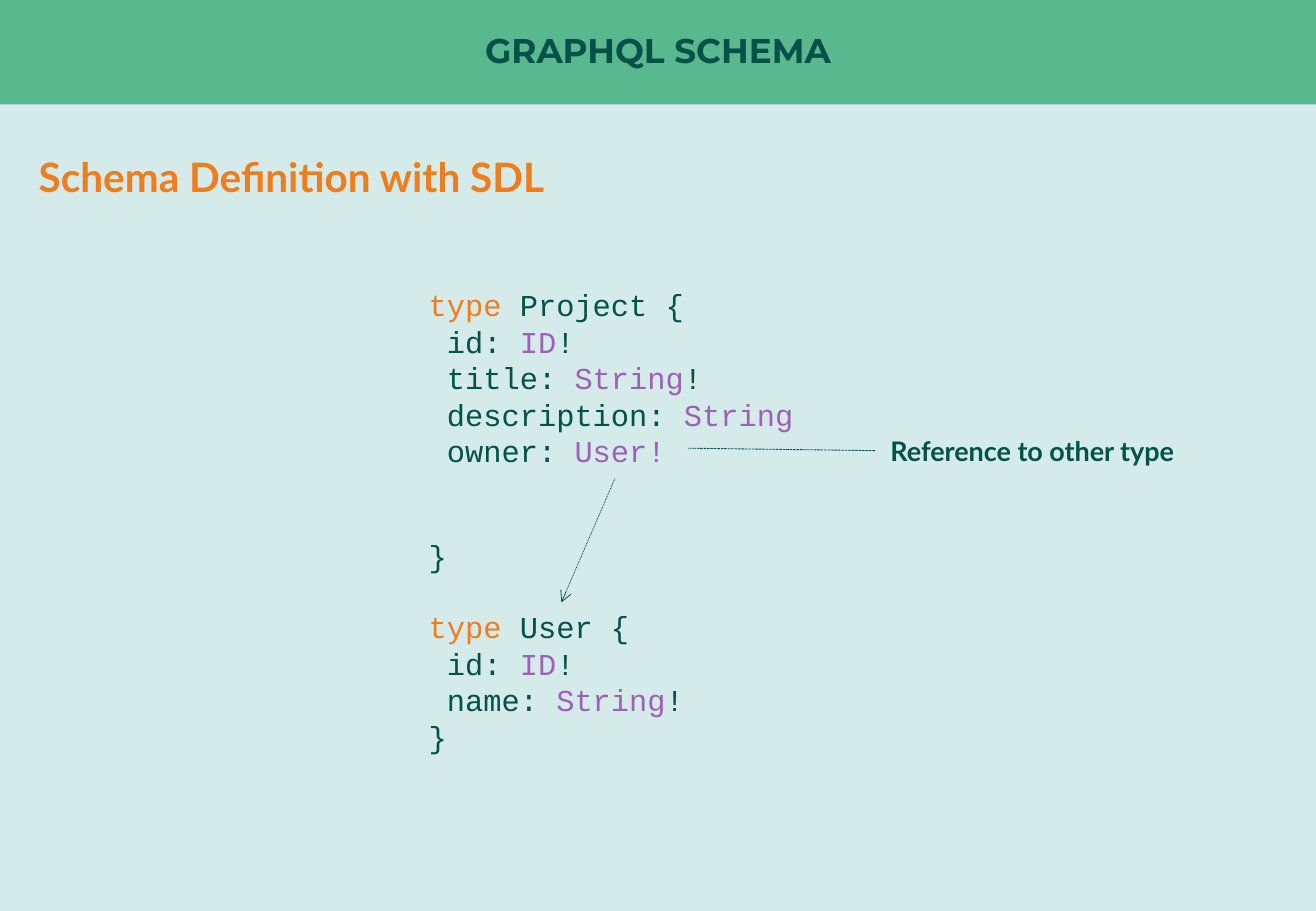
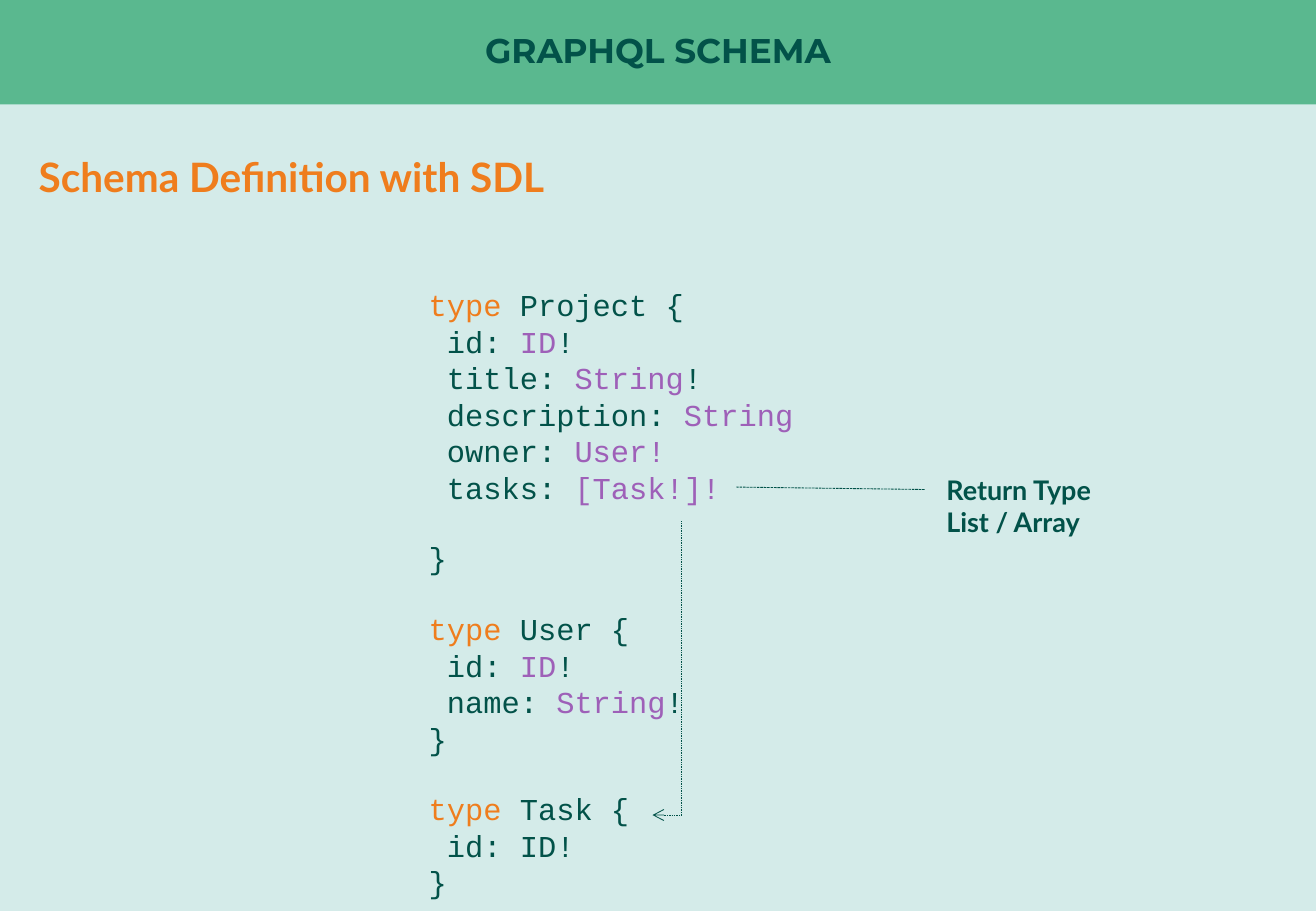
import pptx
import pptx.dml.color
import pptx.enum.dml
import pptx.enum.shapes
import pptx.enum.text
import pptx.oxml
import pptx.oxml.ns
import pptx.util

Inches = pptx.util.Inches
Pt = pptx.util.Pt
Dash = pptx.enum.dml.MSO_LINE

COLORS = {
    "background": "D4EBE9",
    "band": "5AB88F",
    "ink": "025249",
    "keyword": "EF7D1D",
    "type": "9E60B8",
}
WIDTH, HEIGHT, BAND_HEIGHT = 10.83, 7.5, 0.86
CODE_SIZE, CODE_LINE = 18, 20.4

PROJECT_TYPE = [
    "type Project {",
    " id: |ID|!",
    " title: |String|!",
    " description: |String",
    " owner: |User!",
]
USER_TYPE = ["type User {", " id: |ID|!", " name: |String|!", "}"]
TASK_TYPE = ["type Task {", " id: ID!", "}"]


class SchemaDeck:
    """Holds the presentation style and the slide being built."""

    def __init__(self):
        self.presentation = pptx.Presentation()
        self.presentation.slide_width = Inches(WIDTH)
        self.presentation.slide_height = Inches(HEIGHT)
        self.slide = None

    def color(self, name):
        return pptx.dml.color.RGBColor.from_string(COLORS[name])

    def style(self, paragraph, font, size, color=None, bold=False):
        paragraph.font.name = font
        paragraph.font.size = Pt(size)
        paragraph.font.bold = bold
        if color:
            paragraph.font.color.rgb = self.color(color)

    def add_slide(self, title, heading):
        self.slide = self.presentation.slides.add_slide(self.presentation.slide_layouts[6])
        fill = self.slide.background.fill
        fill.solid()
        fill.fore_color.rgb = self.color("background")
        self.add_band(title)
        self.add_text([heading], 0.22, 1.12, 10.39, 0.57, 24, "keyword", 1.2)

    def add_band(self, title):
        shape = self.slide.shapes.add_shape(
            pptx.enum.shapes.MSO_SHAPE.RECTANGLE, 0, 0, Inches(WIDTH), Inches(BAND_HEIGHT))
        shape.shadow.inherit = False
        shape.fill.solid()
        shape.fill.fore_color.rgb = self.color("band")
        shape.line.fill.background()
        frame = shape.text_frame
        frame.margin_left = frame.margin_right = frame.margin_top = frame.margin_bottom = 0
        frame.vertical_anchor = pptx.enum.text.MSO_ANCHOR.MIDDLE
        paragraph = frame.paragraphs[0]
        paragraph.text = title
        paragraph.alignment = pptx.enum.text.PP_ALIGN.CENTER
        paragraph.line_spacing = 0.9
        self.style(paragraph, "Montserrat", 20.3, "ink", True)

    def add_frame(self, left, top, width, height):
        shape = self.slide.shapes.add_textbox(
            Inches(left), Inches(top), Inches(width), Inches(height))
        shape.text_frame.word_wrap = True
        return shape.text_frame

    def add_text(self, lines, left, top, width, height, size=16, color="ink", spacing=1.0):
        frame = self.add_frame(left, top, width, height)
        for index, line in enumerate(lines):
            paragraph = frame.add_paragraph() if index else frame.paragraphs[0]
            paragraph.text = line
            paragraph.line_spacing = spacing
            self.style(paragraph, "Lato", size, color, True)

    def add_code(self, lines, width, height):
        frame = self.add_frame(3.43, 2.31, width, height)
        paragraph, gap = frame.paragraphs[0], 0
        for index, line in enumerate(lines):
            if not line:
                gap += 1
                continue
            if index:
                paragraph = frame.add_paragraph()
            if gap:
                paragraph.space_before = Pt(gap * CODE_LINE)
                gap = 0
            self.style(paragraph, "Courier New", CODE_SIZE)
            if line.startswith("type "):
                self.add_run(paragraph, "type", "keyword")
                line = line[len("type"):]
            for position, part in enumerate(line.split("|")):
                self.add_run(paragraph, part, "type" if position % 2 else "ink")

    def add_run(self, paragraph, text, color):
        run = paragraph.add_run()
        run.text = text
        run.font.color.rgb = self.color(color)

    def add_line(self, start, end, dash=Dash.ROUND_DOT, arrow=False):
        connector = self.slide.shapes.add_connector(
            pptx.enum.shapes.MSO_CONNECTOR.STRAIGHT,
            *(Inches(value) for value in start + end))
        connector.line.color.rgb = self.color("ink")
        connector.line.width = Pt(0.5)
        connector.line.dash_style = dash
        properties = connector.element.spPr
        if arrow:
            outline = properties.find(pptx.oxml.ns.qn("a:ln"))
            outline.append(self.element("tailEnd", 'type="arrow"'))
        properties.append(self.element("effectLst"))

    def element(self, tag, attributes=""):
        return pptx.oxml.parse_xml(f"<a:{tag} {pptx.oxml.ns.nsdecls('a')} {attributes}/>")


def main():
    deck = SchemaDeck()
    title, heading = "GRAPHQL SCHEMA", "Schema Definition with SDL"

    deck.add_slide(title, heading)
    deck.add_code(PROJECT_TYPE + ["", "", "}", ""] + USER_TYPE, 4.47, 4.95)
    deck.add_line((5.06, 3.94), (4.62, 4.96), arrow=True)
    deck.add_text(["Reference to other type"], 7.23, 3.53, 3.2, 0.37)
    deck.add_line((7.2, 3.71), (5.66, 3.69), Dash.SQUARE_DOT)

    deck.add_slide(title, heading)
    deck.add_code(
        PROJECT_TYPE + [" tasks: |[Task!]!", "", "}", ""] + USER_TYPE + [""] + TASK_TYPE,
        6.76, 5.19)
    deck.add_text(["Return Type", "List / Array"], 7.69, 3.85, 3.2, 0.64)
    deck.add_line((7.61, 4.03), (6.06, 4.01), Dash.SQUARE_DOT)
    deck.add_line((5.61, 6.71), (5.37, 6.71), arrow=True)
    deck.add_line((5.61, 4.29), (5.61, 6.71))

    deck.presentation.save("out.pptx")


if __name__ == "__main__":
    main()
